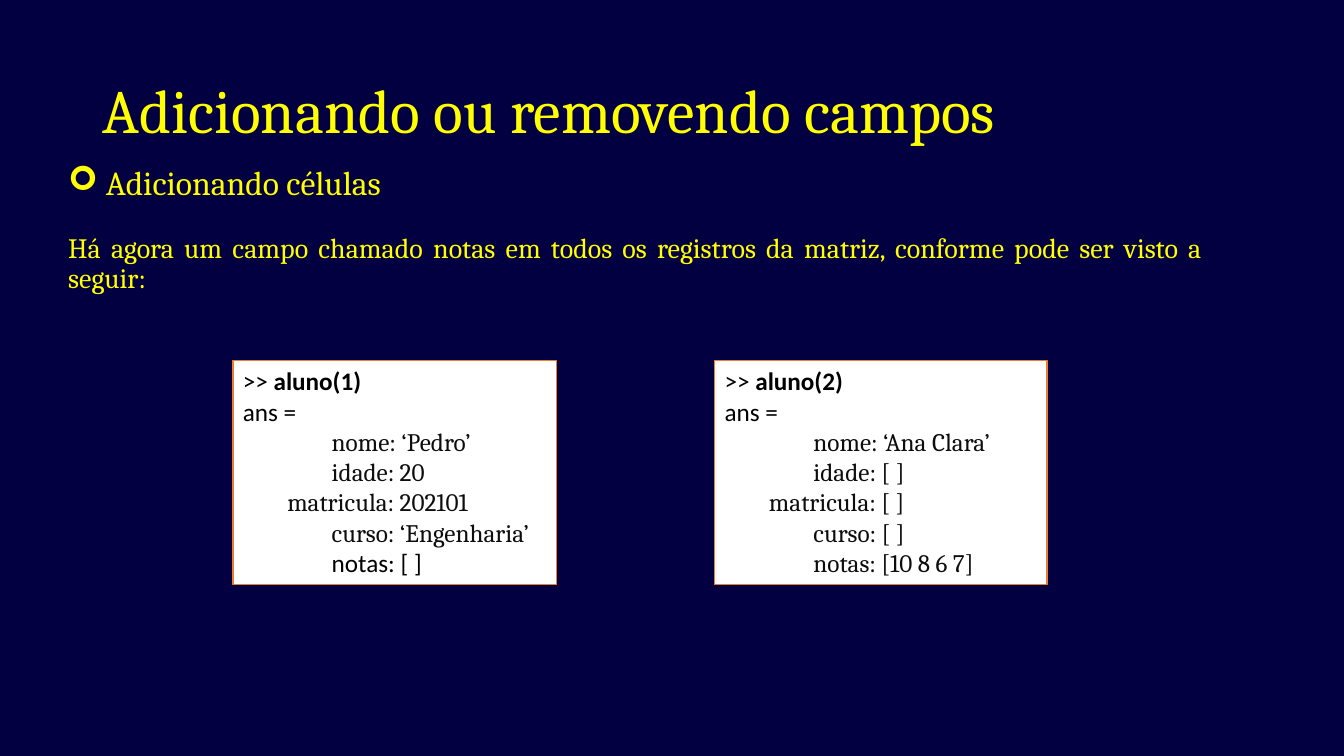
from lxml import etree
from pptx import Presentation
from pptx.dml.color import RGBColor
from pptx.enum.shapes import MSO_SHAPE
from pptx.enum.text import MSO_ANCHOR, MSO_AUTO_SIZE, PP_ALIGN
from pptx.oxml.ns import qn
from pptx.util import Cm, Pt

NAVY = RGBColor(0x02, 0x00, 0x41)
YELLOW = RGBColor(0xFF, 0xFF, 0x00)
WHITE = RGBColor(0xFF, 0xFF, 0xFF)
ORANGE = RGBColor(0xED, 0x7D, 0x31)
BLACK = RGBColor(0x00, 0x00, 0x00)
DARK = RGBColor(0x0D, 0x0D, 0x0D)

SERIF, SANS = "Cambria", "Calibri"
RECT = MSO_SHAPE.RECTANGLE
LEFT, JUSTIFY = PP_ALIGN.LEFT, PP_ALIGN.JUSTIFY
TOP, MIDDLE = MSO_ANCHOR.TOP, MSO_ANCHOR.MIDDLE
NO_FIT = MSO_AUTO_SIZE.NONE

# Field indents in the console boxes, in cm
DEEP, SHALLOW = 2.24, 1.12


def place(sp, left, top, width, height):
    sp.left, sp.top = Cm(left), Cm(top)
    sp.width, sp.height = Cm(width), Cm(height)


def set_frame(tf, anchor=TOP):
    tf.word_wrap = True
    tf.auto_size = NO_FIT
    tf.vertical_anchor = anchor


def add_run(p, text, size, font=SERIF, color=YELLOW, bold=False):
    r = p.add_run()
    r.text = text
    r.font.size = Pt(size)
    r.font.name = font
    r.font.bold = bold
    r.font.color.rgb = color


def set_indent(p, left, first=0):
    pPr = p._p.get_or_add_pPr()
    pPr.set("marL", str(Cm(left)))
    pPr.set("indent", str(Cm(first)))
    return pPr


def add_title(s, text):
    sp = s.shapes.title
    place(sp, 2.34, 1.02, 29.21, 3.68)
    set_frame(sp.text_frame, MIDDLE)
    p = sp.text_frame.paragraphs[0]
    p.alignment = LEFT
    p.line_spacing = 0.9
    add_run(p, text, 44)


def add_text(s, box, text, size):
    tf = s.shapes.add_textbox(*map(Cm, box)).text_frame
    set_frame(tf)
    p = tf.paragraphs[0]
    add_run(p, text, size)
    return p


def add_bullet(p, char):
    pPr = set_indent(p, 0.95, -0.95)
    etree.SubElement(pPr, qn("a:buFont")).set("typeface", "Wingdings")
    etree.SubElement(pPr, qn("a:buChar")).set("char", char)


def add_console(s, left, width, command, fields):
    sp = s.shapes.add_shape(RECT, Cm(left), Cm(9.09), Cm(width), Cm(5.64))
    sp.shadow.inherit = False
    sp.fill.solid()
    sp.fill.fore_color.rgb = WHITE
    sp.line.color.rgb = ORANGE
    sp.line.width = Pt(1)
    tf = sp.text_frame
    set_frame(tf)

    # Command and reply
    p = tf.paragraphs[0]
    p.alignment = LEFT
    add_run(p, ">> ", 18, SANS, BLACK)
    add_run(p, command, 18, SANS, BLACK, bold=True)
    p = tf.add_paragraph()
    p.alignment = LEFT
    add_run(p, "ans =", 18, SANS, BLACK)

    # Record fields
    for text, indent, font, color in fields:
        p = tf.add_paragraph()
        p.alignment = LEFT
        set_indent(p, indent)
        add_run(p, text, 18, font, color)


def field(text, indent=DEEP, font=SERIF, color=DARK):
    return text, indent, font, color


def main():
    prs = Presentation()
    prs.slide_width, prs.slide_height = Cm(33.87), Cm(19.05)
    s = prs.slides.add_slide(prs.slide_layouts[5])
    s.background.fill.solid()
    s.background.fill.fore_color.rgb = NAVY

    # Headings and explanation
    add_title(s, "Adicionando ou removendo campos")
    p = add_text(s, (1.47, 5.77, 29.08, 9.19),
                 "Há agora um campo chamado notas em todos os registros "
                 "da matriz, conforme pode ser visto a seguir:", 20)
    p.alignment = JUSTIFY
    p.line_spacing = 0.9
    p.space_before = Pt(10)
    p = add_text(s, (1.47, 3.96, 8.79, 1.27), "Adicionando células", 24)
    add_bullet(p, "➢")

    # Console output for the two records
    add_console(s, 5.87, 8.15, "aluno(1)", [
        field("nome: ‘Pedro’"),
        field("idade: 20"),
        field("matricula: 202101", SHALLOW),
        field("curso: ‘Engenharia’"),
        field("notas: [ ]", font=SANS, color=BLACK),
    ])
    add_console(s, 18.01, 8.38, "aluno(2)", [
        field("nome: ‘Ana Clara’"),
        field("idade: [ ]"),
        field("matricula: [ ]", SHALLOW),
        field("curso: [ ]"),
        field("notas: [10 8 6 7]"),
    ])
    prs.save("out.pptx")


main()
